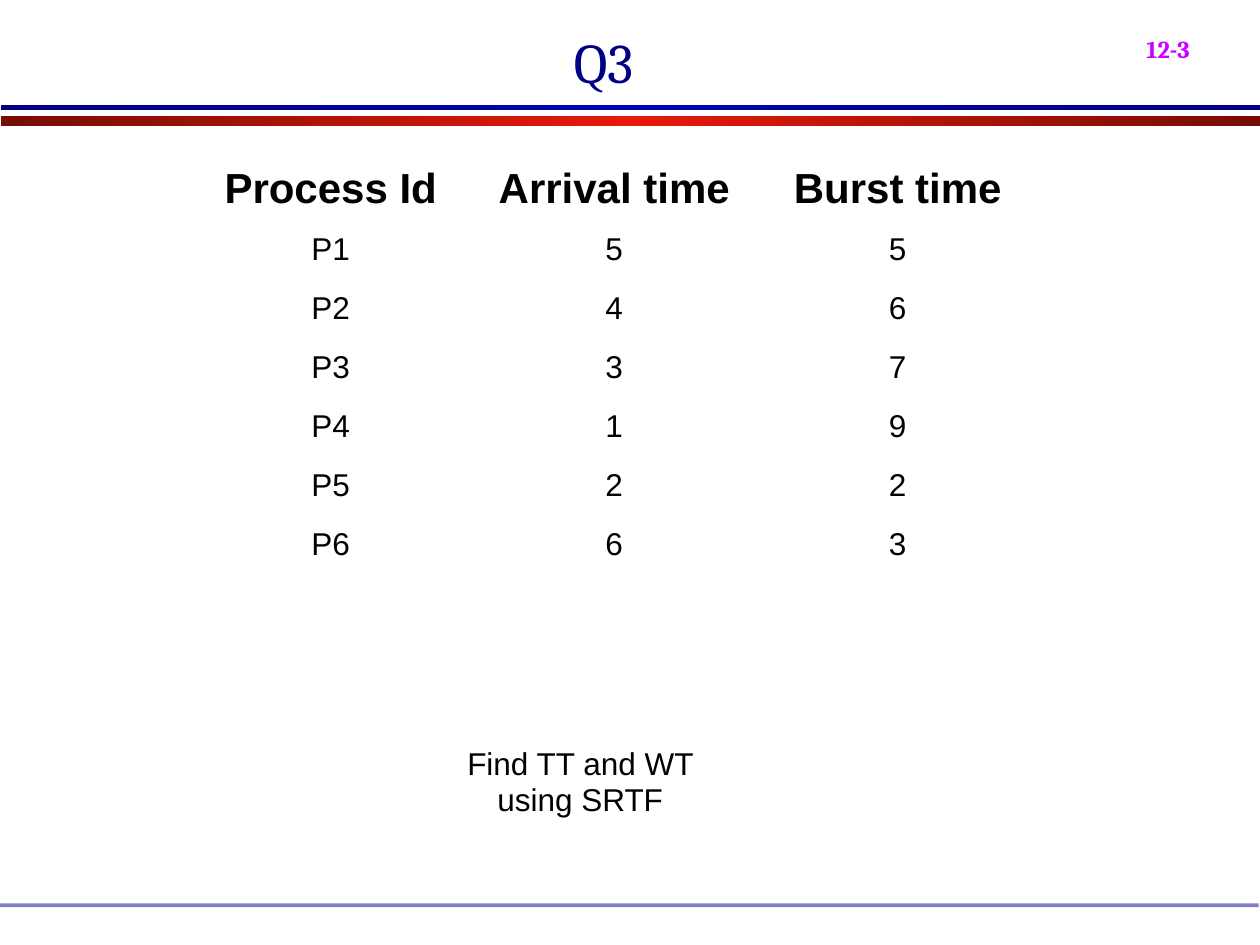
from dataclasses import dataclass

from lxml.etree import SubElement
from pptx import Presentation
from pptx.dml.color import RGBColor
from pptx.enum.shapes import MSO_SHAPE
from pptx.enum.text import MSO_ANCHOR, MSO_AUTO_SIZE, PP_ALIGN
from pptx.oxml.ns import qn
from pptx.util import Inches, Pt


@dataclass(frozen=True)
class Theme:
    heading_font: str = "Cambria"
    body_font: str = "Arial"
    navy: str = "000082"
    magenta: str = "CC00FF"
    black: str = "000000"
    red_band: tuple = ("770D05", "E71909", "770D05")
    blue_band: tuple = ("00007F", "0000B6", "00007F")
    title_size: int = 32
    header_size: int = 24
    body_size: int = 18


@dataclass(frozen=True)
class Box:
    left: float
    top: float
    width: float
    height: float

    def place(self):
        return (columns(self.left), rows(self.top),
                columns(self.width), rows(self.height))


THEME = Theme()
SLIDE_WIDTH, SLIDE_HEIGHT = Inches(10), Inches(7.5)
GRID_COLUMNS, GRID_ROWS = 100, 75
PLAIN_TABLE_STYLE = "{2D5ABB26-0587-4C30-8999-92F81FD0307C}"

PROCESSES = [
    ["Process Id", "Arrival time", "Burst time"],
    ["P1", "5", "5"],
    ["P2", "4", "6"],
    ["P3", "3", "7"],
    ["P4", "1", "9"],
    ["P5", "2", "2"],
    ["P6", "6", "3"],
]
TASK = "Find TT and WT using SRTF"
TASK_ROW = 5


def columns(count):
    return round(SLIDE_WIDTH * count / GRID_COLUMNS)


def rows(count):
    return round(SLIDE_HEIGHT * count / GRID_ROWS)


def write_text(frame, text, *, font=THEME.body_font, size=THEME.body_size,
               color=THEME.black, bold=False, align=PP_ALIGN.CENTER):
    paragraph = frame.paragraphs[0]
    paragraph.alignment = align
    run = paragraph.add_run()
    run.text = text
    run.font.name = font
    run.font.size = Pt(size)
    run.font.bold = bold
    run.font.color.rgb = RGBColor.from_string(color)
    return run


def add_bar(slide, box):
    shape = slide.shapes.add_shape(MSO_SHAPE.RECTANGLE, *box.place())
    shape.shadow.inherit = False
    shape.line.fill.background()
    return shape


def add_gradient_bar(slide, box, colors):
    fill = add_bar(slide, box).fill
    fill.gradient()
    fill.gradient_angle = 0
    stops = fill._fill._gradFill.find(qn("a:gsLst"))
    for stop in list(stops):
        stops.remove(stop)
    for index, color in enumerate(colors):
        position = 100000 * index // (len(colors) - 1)
        stop = SubElement(stops, qn("a:gs"), pos=str(position))
        SubElement(stop, qn("a:srgbClr"), val=color)


def add_footer_rule(slide, box):
    fill = add_bar(slide, box).fill
    fill.solid()
    fill.fore_color.rgb = RGBColor.from_string(THEME.navy)
    color = fill._xPr.find(qn("a:solidFill")).find(qn("a:srgbClr"))
    SubElement(color, qn("a:alpha"), val="50000")


def add_page_number(slide, box, text):
    frame = slide.shapes.add_textbox(*box.place()).text_frame
    frame.word_wrap = True
    frame.auto_size = MSO_AUTO_SIZE.SHAPE_TO_FIT_TEXT
    run = write_text(frame, text, font=THEME.heading_font, size=THEME.header_size,
                     color=THEME.magenta, bold=True, align=PP_ALIGN.LEFT)
    run.font._element.set("baseline", "-25000")


def add_title(slide, box, text):
    title = slide.shapes.title
    title.left, title.top, title.width, title.height = box.place()
    frame = title.text_frame
    frame.word_wrap = True
    frame.auto_size = MSO_AUTO_SIZE.NONE
    frame.vertical_anchor = MSO_ANCHOR.TOP
    write_text(frame, text, font=THEME.heading_font, size=THEME.title_size,
               color=THEME.navy)


def add_plain_table(slide, box, row_heights, column_count):
    frame = slide.shapes.add_table(len(row_heights), column_count, *box.place())
    table = frame.table
    table.first_row = False
    table.horz_banding = False
    table._tbl.tblPr.find(qn("a:tableStyleId")).text = PLAIN_TABLE_STYLE
    for row, height in zip(table.rows, row_heights):
        row.height = rows(height)
    for cell in table.iter_cells():
        cell.fill.background()
        cell.vertical_anchor = MSO_ANCHOR.MIDDLE
    return table


def add_process_table(slide, box):
    header_height = 5
    body_count = len(PROCESSES) - 1
    body_height = (box.height - header_height) / body_count
    table = add_plain_table(slide, box, [header_height] + [body_height] * body_count,
                            len(PROCESSES[0]))
    for row_index, values in enumerate(PROCESSES):
        is_header = row_index == 0
        size = THEME.header_size if is_header else THEME.body_size
        for column_index, value in enumerate(values):
            write_text(table.cell(row_index, column_index).text_frame, value,
                       size=size, bold=is_header)


def add_task_table(slide, box):
    table = add_plain_table(slide, box, [5, 4, 4, 4, 4, 7, 4], 3)
    write_text(table.cell(TASK_ROW, 1).text_frame, TASK)


def build_question_slide(presentation):
    slide = presentation.slides.add_slide(presentation.slide_layouts[5])
    add_gradient_bar(slide, Box(0.1, 9.2, 99.9, 0.8), THEME.red_band)
    add_gradient_bar(slide, Box(0.1, 8.3, 99.9, 0.4), THEME.blue_band)
    add_footer_rule(slide, Box(0, 71.7, 99.9, 0.3))
    add_page_number(slide, Box(90, 0, 10.8, 5.6), "12-3")
    add_process_table(slide, Box(15, 12.5, 67.5, 33.1))
    add_title(slide, Box(3.3, 1.7, 89.2, 10.8), "Q3")
    add_task_table(slide, Box(13, 37.6, 66.1, 32))


def main():
    presentation = Presentation()
    presentation.slide_width = SLIDE_WIDTH
    presentation.slide_height = SLIDE_HEIGHT
    build_question_slide(presentation)
    presentation.save("out.pptx")


if __name__ == "__main__":
    main()
